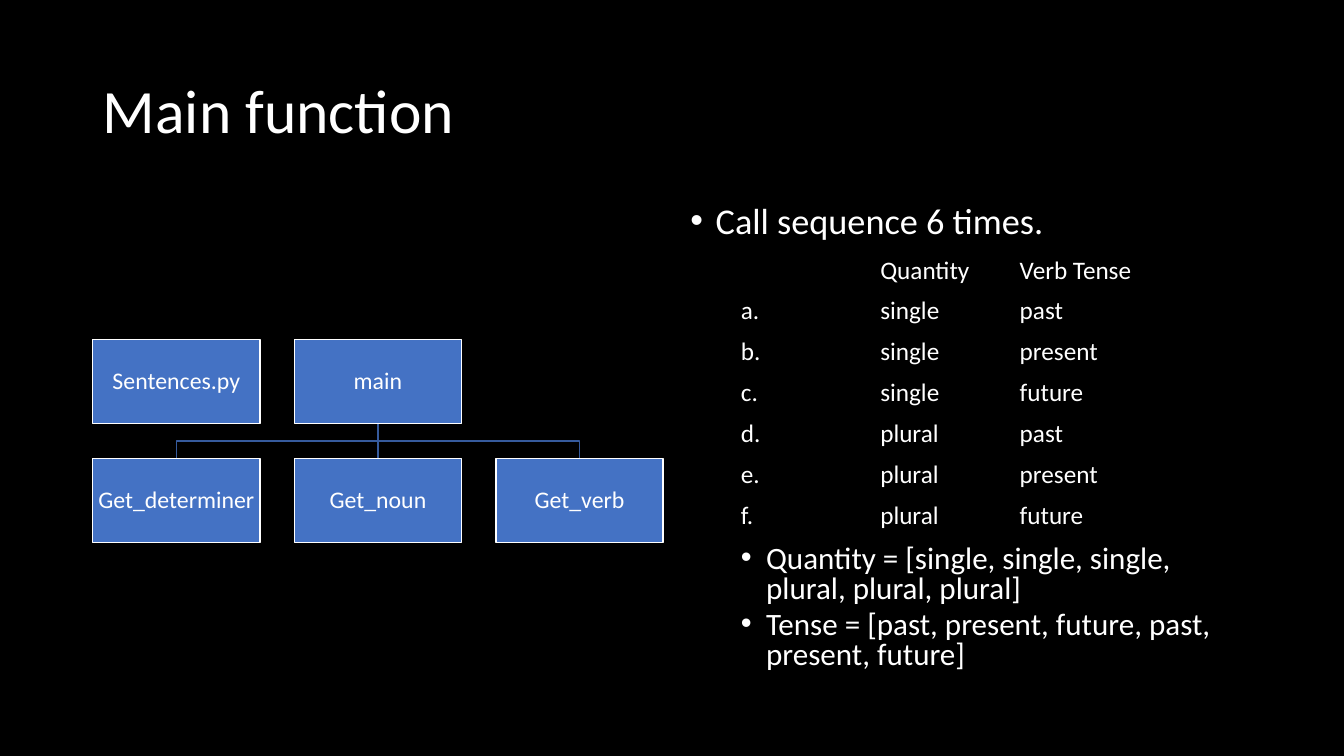
import pptx
import pptx.dml.color
import pptx.enum.shapes
import pptx.enum.text
import pptx.oxml.ns
import pptx.util
from lxml import etree

Inches = pptx.util.Inches
Pt = pptx.util.Pt
RGBColor = pptx.dml.color.RGBColor
qn = pptx.oxml.ns.qn

BLACK = RGBColor(0x00, 0x00, 0x00)
WHITE = RGBColor(0xFF, 0xFF, 0xFF)
BOX_BLUE = RGBColor(0x44, 0x72, 0xC4)
LINE_BLUE = RGBColor(0x36, 0x5B, 0x9D)
FONT = "Calibri"
NO_GRID_STYLE = "{2D5ABB26-0587-4C30-8999-92F81FD0307C}"


def style_runs(para, size):
    for span in para.runs:
        span.font.name = FONT
        span.font.size = Pt(size)
        span.font.color.rgb = WHITE


def place(holder, left, top, width, height):
    """Move a placeholder; lengths in inches."""
    holder.left, holder.top = Inches(left), Inches(top)
    holder.width, holder.height = Inches(width), Inches(height)
    holder.text_frame.word_wrap = True
    holder.text_frame.auto_size = pptx.enum.text.MSO_AUTO_SIZE.NONE


deck = pptx.Presentation()
deck.slide_width = Inches(13.333)
deck.slide_height = Inches(7.5)
page = deck.slides.add_slide(deck.slide_layouts[1])
page.background.fill.solid()
page.background.fill.fore_color.rgb = BLACK

# Title
title = page.shapes.title
place(title, 0.92, 0.4, 11.5, 1.45)
title.text_frame.text = "Main function"
title.text_frame.vertical_anchor = pptx.enum.text.MSO_ANCHOR.MIDDLE
title_para = title.text_frame.paragraphs[0]
title_para.alignment = pptx.enum.text.PP_ALIGN.LEFT
title_para.line_spacing = 0.9
style_runs(title_para, 44)

# Call tree: connecting lines, then boxes on a grid
LEFT, TOP = 0.92, 3.37
BOX_WIDTH, BOX_HEIGHT = 1.66, 0.83
COLUMN_STEP, ROW_STEP = 2.0, 1.18

centres = [LEFT + BOX_WIDTH / 2 + column * COLUMN_STEP for column in range(3)]
main_x = centres[1]
main_bottom = TOP + BOX_HEIGHT
child_top = TOP + ROW_STEP
middle = (main_bottom + child_top) / 2

links = [page.shapes.add_connector(
    pptx.enum.shapes.MSO_CONNECTOR.STRAIGHT,
    Inches(main_x), Inches(main_bottom), Inches(main_x), Inches(child_top))]
etree.SubElement(links[0]._element.spPr, qn("a:effectLst"))
for child_x in (centres[0], centres[2]):
    builder = page.shapes.build_freeform(Inches(main_x), Inches(main_bottom))
    bends = [(main_x, middle), (child_x, middle), (child_x, child_top)]
    builder.add_line_segments(
        [(Inches(x), Inches(y)) for x, y in bends], close=False)
    elbow = builder.convert_to_shape()
    elbow.fill.background()
    elbow.shadow.inherit = False
    links.append(elbow)
for link in links:
    link.line.color.rgb = LINE_BLUE
    link.line.width = Pt(1)

box_rows = [["Sentences.py", "main"], ["Get_determiner", "Get_noun", "Get_verb"]]
for row, names in enumerate(box_rows):
    for column, name in enumerate(names):
        box = page.shapes.add_shape(
            pptx.enum.shapes.MSO_SHAPE.RECTANGLE,
            Inches(LEFT + column * COLUMN_STEP), Inches(TOP + row * ROW_STEP),
            Inches(BOX_WIDTH), Inches(BOX_HEIGHT))
        box.shadow.inherit = False
        box.fill.solid()
        box.fill.fore_color.rgb = BOX_BLUE
        box.line.color.rgb = WHITE
        box.line.width = Pt(1)
        frame = box.text_frame
        frame.margin_left = frame.margin_right = Inches(0.01)
        frame.margin_top = frame.margin_bottom = Inches(0.01)
        frame.vertical_anchor = pptx.enum.text.MSO_ANCHOR.MIDDLE
        frame.text = name
        frame.paragraphs[0].alignment = pptx.enum.text.PP_ALIGN.CENTER
        frame.paragraphs[0].line_spacing = 0.9
        style_runs(frame.paragraphs[0], 17)

# Bullets: the second one leaves room above it for the table
body = page.placeholders[1]
place(body, 6.75, 2, 5.67, 4.76)
bullets = [
    # text, level, size, space before, indent
    ("Call sequence 6 times.", 0, 25.9, 10, 0.25),
    ("Quantity = [single, single, single, plural, plural, plural]", 1, 22.2, 217, 0.75),
    ("Tense = [past, present, future, past, present, future]", 1, 22.2, 5, 0.75),
]
body.text_frame.text = "\n".join(bullet[0] for bullet in bullets)
for para, (_, level, size, before, indent) in zip(body.text_frame.paragraphs, bullets):
    para.level = level
    para.line_spacing = 0.8
    para.space_before = Pt(before)
    style_runs(para, size)
    properties = para._p.get_or_add_pPr()
    properties.set("marL", str(Inches(indent)))
    properties.set("indent", str(Inches(-0.25)))
    etree.SubElement(properties, qn("a:buFont")).set("typeface", "Arial")
    etree.SubElement(properties, qn("a:buChar")).set("char", "•")

# Table of calls
calls = [["", "Quantity", "Verb Tense"]]
tenses = ["past", "present", "future"]
for index, letter in enumerate("abcdef"):
    quantity = "single" if index < 3 else "plural"
    calls.append([letter + ".", quantity, tenses[index % 3]])

table = page.shapes.add_table(
    len(calls), 3, Inches(7.25), Inches(2.48), Inches(4.15), Inches(2.8)).table
table.first_row = False
table.horz_banding = False
table._tbl.tblPr.find(qn("a:tableStyleId")).text = NO_GRID_STYLE
for row, values in enumerate(calls):
    for column, value in enumerate(values):
        cell = table.cell(row, column)
        cell.fill.background()
        cell.vertical_anchor = pptx.enum.text.MSO_ANCHOR.MIDDLE
        cell.text_frame.text = value
        style_runs(cell.text_frame.paragraphs[0], 18)

deck.save("out.pptx")
